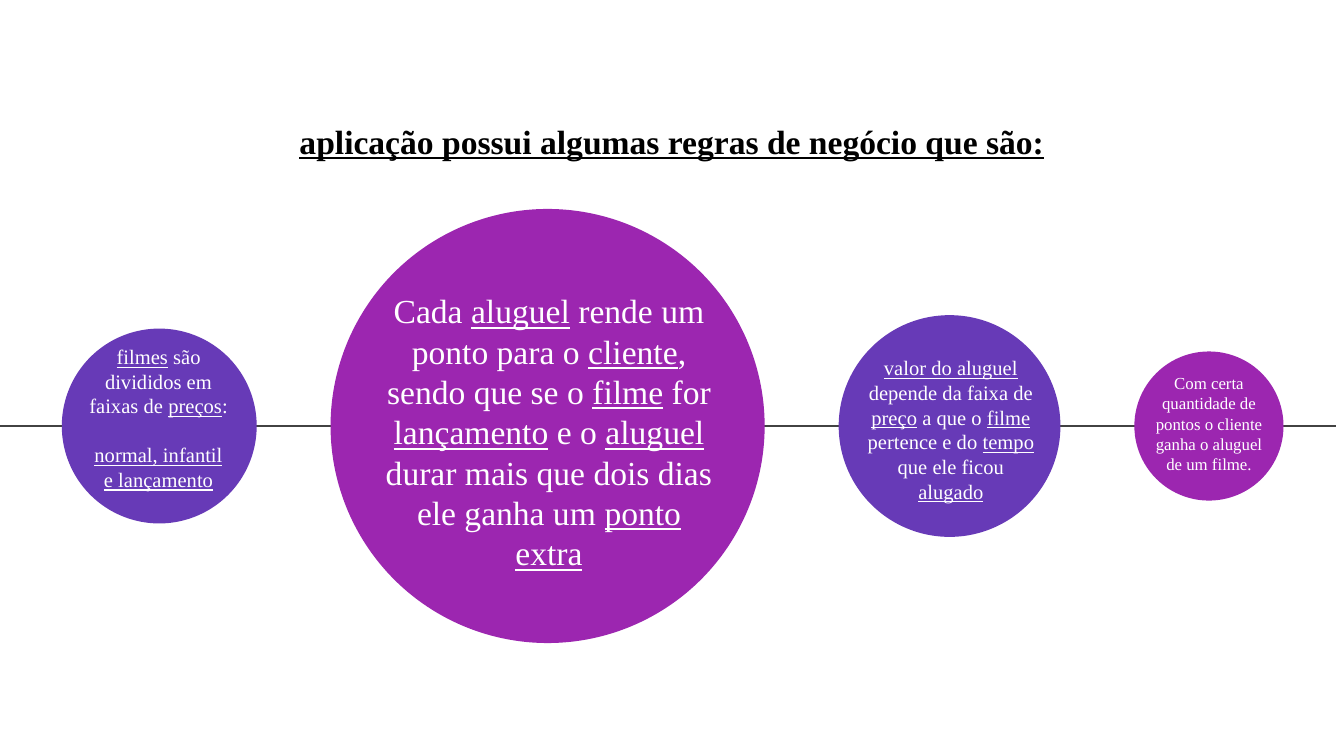
"""Build a slide of four rental business rules strung along a line."""
import pptx
import pptx.dml.color
import pptx.enum.shapes
import pptx.enum.text
import pptx.oxml
import pptx.util
from dataclasses import dataclass
from pptx.util import Inches


@dataclass(frozen=True)
class Theme:
    font: str = "Times New Roman"
    violet: str = "673AB7"
    purple: str = "9C26B0"
    line: str = "424242"
    dark: str = "000000"
    light: str = "FFFFFF"
    large: int = 18
    medium: int = 11
    small: int = 9
    inset: float = 0.1


def rgb(value):
    return pptx.dml.color.RGBColor.from_string(value)


def write_paragraph(para, text, *, font, size, color, bold=False, before=0, after=0, spacing=None):
    """Write centred text in which underscores enclose underlined words."""
    para.alignment = pptx.enum.text.PP_ALIGN.CENTER
    para.space_before = pptx.util.Pt(before)
    para.space_after = pptx.util.Pt(after)
    para.line_spacing = spacing
    for index, part in enumerate(text.split("_")):
        if part:
            span = para.add_run()
            span.text = part
            span.font.name = font
            span.font.size = pptx.util.Pt(size)
            span.font.bold = bold
            span.font.underline = index % 2 == 1
            span.font.color.rgb = rgb(color)


class SlideBuilder:
    def __init__(self, page, theme):
        self.page = page
        self.theme = theme

    def line(self, left, right, height):
        connector = self.page.shapes.add_connector(
            pptx.enum.shapes.MSO_CONNECTOR.STRAIGHT,
            Inches(left), Inches(height), Inches(right), Inches(height))
        connector.line.color.rgb = rgb(self.theme.line)
        connector.line.width = pptx.util.Pt(1.5)
        properties = connector._element.spPr
        properties.append(pptx.oxml.parse_xml(
            '<a:effectLst xmlns:a="http://schemas.openxmlformats.org/drawingml/2006/main"/>'))

    def circle(self, left, middle, diameter, color):
        shape = self.page.shapes.add_shape(
            pptx.enum.shapes.MSO_SHAPE.OVAL, Inches(left), Inches(middle - diameter / 2),
            Inches(diameter), Inches(diameter))
        shape.shadow.inherit = False
        shape.fill.solid()
        shape.fill.fore_color.rgb = rgb(color)
        shape.line.fill.background()

    def text(self, bounds, paragraphs, size, color, anchor="MIDDLE", gap=0, **style):
        box = self.page.shapes.add_textbox(*map(Inches, bounds))
        frame = box.text_frame
        frame.word_wrap = True
        frame.vertical_anchor = pptx.enum.text.MSO_ANCHOR[anchor]
        frame.margin_left = frame.margin_right = Inches(self.theme.inset)
        frame.margin_top = frame.margin_bottom = Inches(self.theme.inset)
        for index, text in enumerate(paragraphs):
            para = frame.add_paragraph() if index else frame.paragraphs[0]
            spacing = {"before": gap} if index else {}
            write_paragraph(para, text, font=self.theme.font, size=size, color=color,
                            **{**style, **spacing})


def main():
    theme = Theme()
    deck = pptx.Presentation()
    deck.slide_width = Inches(10)
    deck.slide_height = deck.slide_width * 9 // 16
    page = deck.slides.add_slide(deck.slide_layouts[6])
    builder = SlideBuilder(page, theme)
    middle, gap = 3.17, 0.55

    builder.line(-0.07, 9.94, middle)
    builder.text((0.34, 0.41, 9.32, 0.89),
                 ["_aplicação possui algumas regras de negócio que são:_"],
                 theme.large, theme.dark, anchor="BOTTOM", bold=True,
                 before=14, after=14, spacing=1.15)

    rules = [
        (1.45, theme.violet, theme.medium, (0.56, 2.41, 1.24, 1.4),
         ["_filmes_ são divididos em faixas de _preços_: ", "_normal, infantil e lançamento_"]),
        (3.23, theme.purple, theme.large, (2.73, 1.82, 2.71, 2.78),
         ["Cada _aluguel_ rende um ponto para o _cliente_, sendo que se o _filme_ for "
          "_lançamento_ e o _aluguel_ durar mais que dois dias ele ganha um _ponto_ _extra_"]),
        (1.65, theme.violet, theme.medium, (6.35, 2.54, 1.45, 1.31),
         ["_valor do aluguel_ depende da faixa de _preço_ a que o _filme_ pertence "
          "e do _tempo_ que ele ficou _alugado_"]),
        (1.11, theme.purple, theme.small, (8.44, 2.73, 1.11, 0.84),
         ["Com certa quantidade de pontos o cliente ganha o aluguel de um filme."]),
    ]
    left = 0.46
    for diameter, color, size, bounds, paragraphs in rules:
        builder.circle(left, middle, diameter, color)
        builder.text(bounds, paragraphs, size, theme.light, gap=13)
        left += diameter + gap

    deck.save("out.pptx")


if __name__ == "__main__":
    main()
